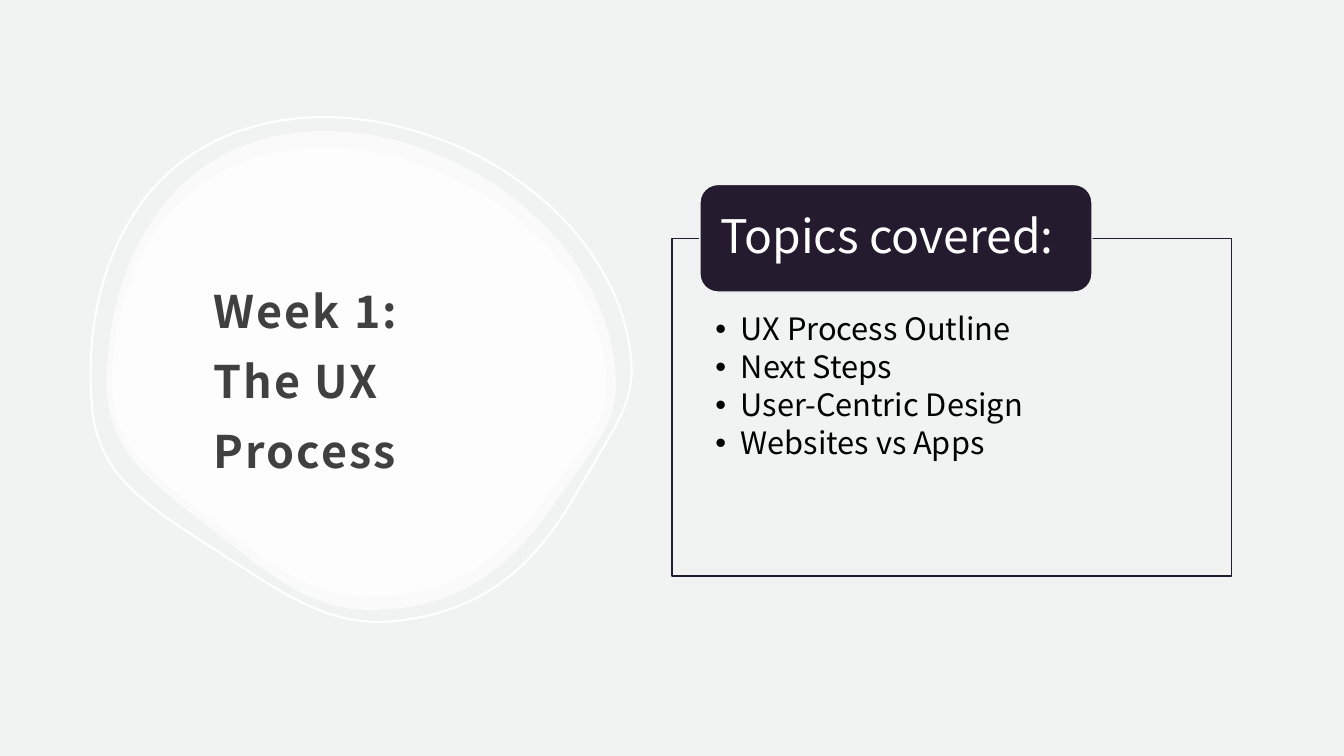
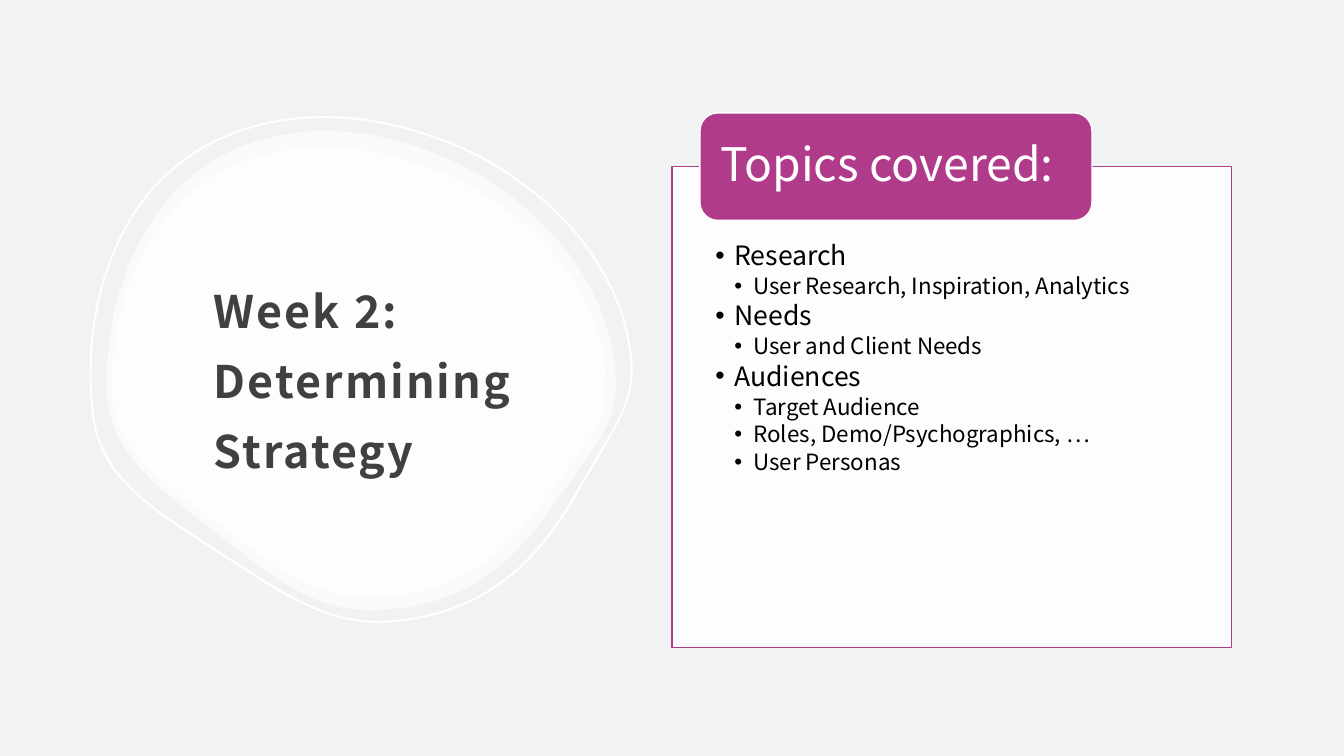
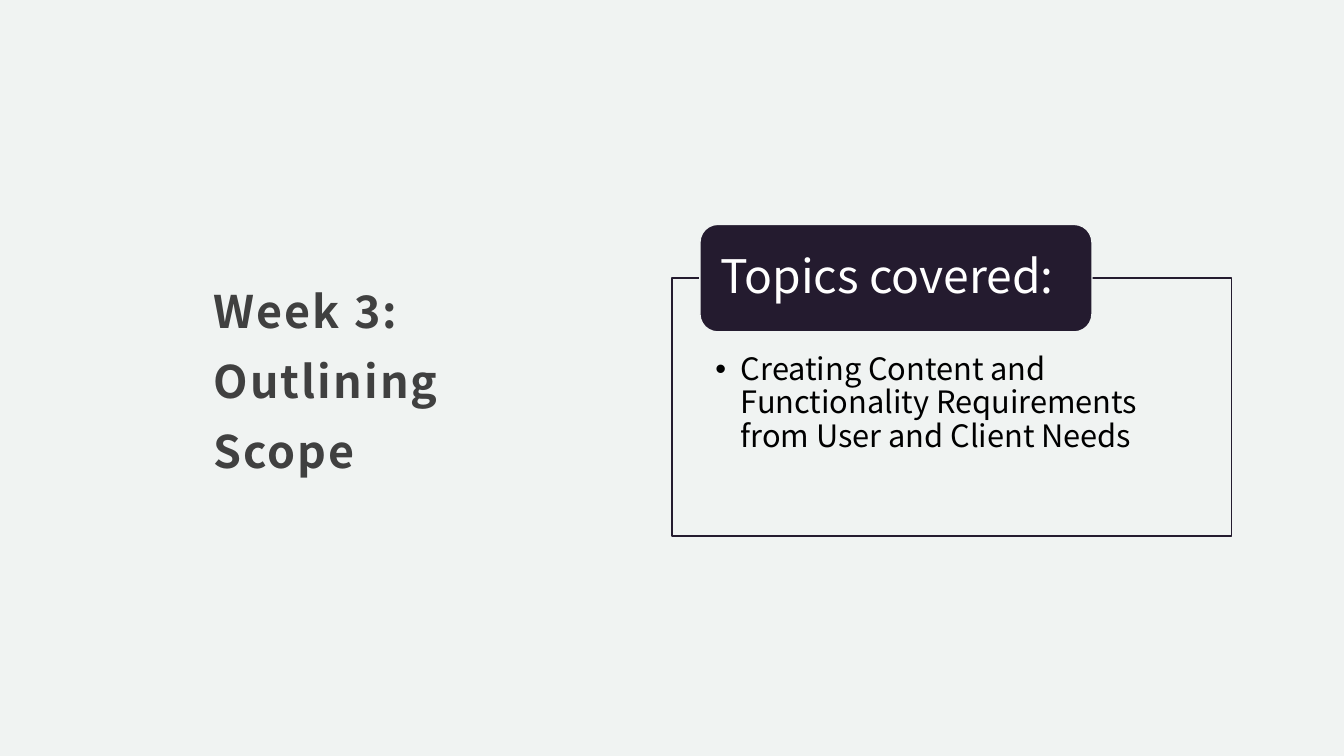
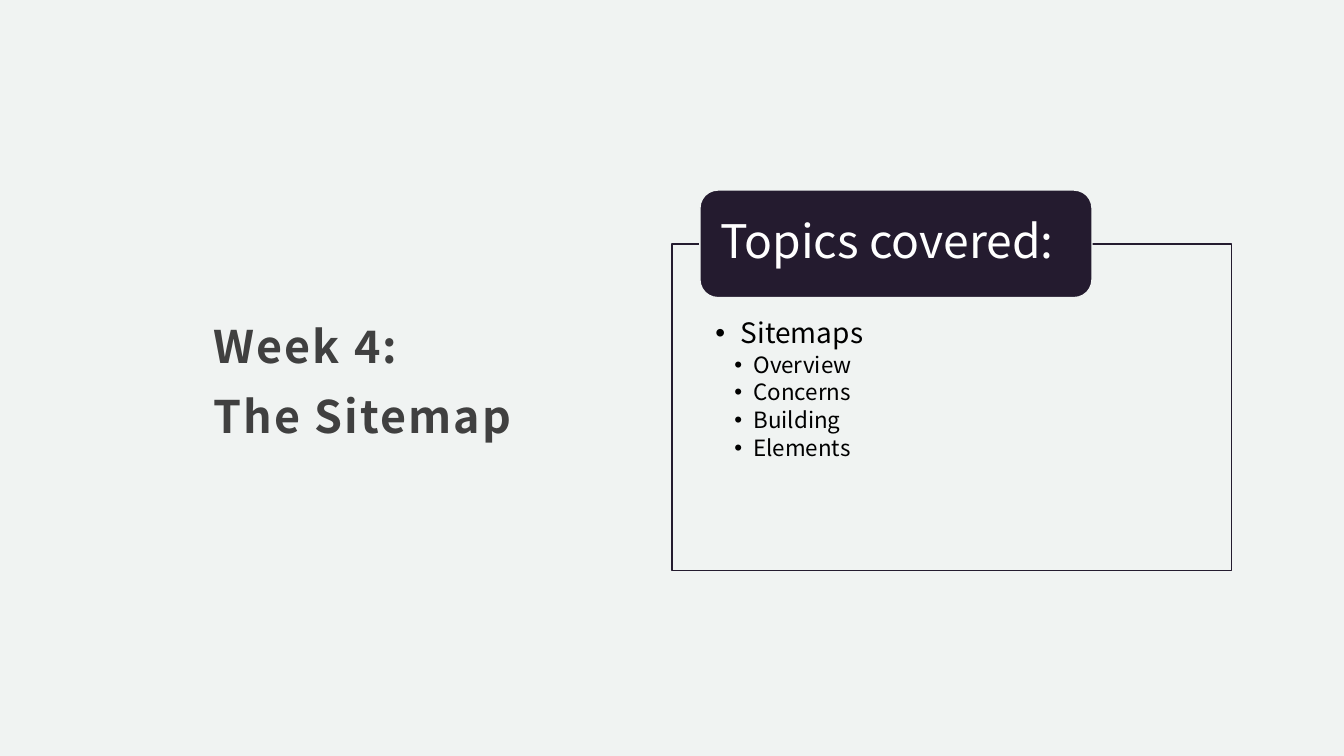
from lxml.etree import SubElement
from pptx import Presentation
from pptx.dml.color import RGBColor
from pptx.enum.shapes import MSO_SHAPE
from pptx.enum.text import MSO_ANCHOR, MSO_AUTO_SIZE, PP_ALIGN
from pptx.oxml.ns import qn
from pptx.util import Cm, Pt

FONT, BULLET_FONT = "Noto Sans CJK JP", "Arial"
PAPER, WHITE, BLACK, GREY = "F0F3F2", "FFFFFF", "000000", "404040"
PLUM, MAGENTA = "241B2F", "B13B8B"


def paint(color_format, hex_color, opacity=100):
    color_format.rgb = RGBColor.from_string(hex_color)
    if opacity < 100:
        color = color_format._xFill.find(qn("a:srgbClr"))
        SubElement(color, qn("a:alpha"), val=str(opacity * 1000))


def style_text(paragraph, size, hex_color, line_spacing, bold=False):
    paragraph.alignment = PP_ALIGN.LEFT
    paragraph.line_spacing = line_spacing
    for run in paragraph.runs:
        run.font.name, run.font.size, run.font.bold = FONT, Pt(size), bold
        paint(run.font.color, hex_color)


# Weeks: title, accent, panel fill, panel height (cm), has blob,
# size and indent (cm) of main topics, topics as (level, text)
weeks = [
    ("Week 1: \vThe UX Process", PLUM, PAPER, 8.51, True, 22, 0.64, [
        (1, "UX Process Outline"),
        (1, "Next Steps"),
        (1, "User-Centric Design"),
        (1, "Websites vs Apps")]),
    ("Week 2: Determining Strategy", MAGENTA, WHITE, 12.12, True, 19, 0.48, [
        (1, "Research"),
        (2, "User Research, Inspiration, Analytics"),
        (1, "Needs"),
        (2, "User and Client Needs"),
        (1, "Audiences"),
        (2, "Target Audience"),
        (2, "Roles, Demo/Psychographics, …"),
        (2, "User Personas")]),
    ("Week 3: Outlining Scope", PLUM, PAPER, 6.5, False, 22, 0.64, [
        (1, "Creating Content and Functionality Requirements "
            "from User and Client Needs")]),
    ("Week 4: \vThe Sitemap", PLUM, PAPER, 8.23, False, 20, 0.64, [
        (1, "Sitemaps"),
        (2, "Overview"),
        (2, "Concerns"),
        (2, "Building"),
        (2, "Elements")]),
]
SUBTOPIC_SIZE, SUBTOPIC_INDENT = 16, 0.48
PANEL_LEFT, PANEL_WIDTH, PANEL_MIDDLE = 16.94, 14.1, 10.26
LABEL_HEIGHT = 2.71

# Blob outline: Bézier segments, each two controls and an end
blob_start = (216, 0)
blob_curves = [
    ((183, 0), (152, 7), (125, 19)), ((100, 31), (77, 48), (59, 70)),
    ((21, 116), (0, 180), (0, 252)), ((0, 280), (8, 303), (26, 326)),
    ((45, 350), (74, 372), (104, 395)), ((109, 399), (115, 404), (121, 408)),
    ((172, 449), (210, 475), (261, 475)), ((339, 475), (395, 443), (446, 367)),
    ((453, 357), (460, 348), (466, 339)), ((492, 303), (505, 284), (505, 252)),
    ((505, 220), (497, 188), (481, 158)), ((466, 128), (444, 101), (416, 77)),
    ((389, 53), (356, 34), (322, 21)), ((287, 7), (251, 0), (216, 0)),
]

# Blob layers: left, top, width, height (cm), rotation, filled or outlined
blob_layers = [
    (2.69, 3.3, 12.83, 12.07, 0, True),
    (2.82, 3.71, 12.47, 11.33, 0, True),
    (2.26, 2.87, 13.64, 12.83, 355, False),
]

prs = Presentation()
prs.slide_width, prs.slide_height = Cm(33.87), Cm(19.05)
backdrop = prs.slide_master.background.fill
backdrop.solid()
paint(backdrop.fore_color, PAPER)

for (heading, accent, panel_color, panel_height, has_blob,
     topic_size, topic_indent, topics) in weeks:
    slide = prs.slides.add_slide(prs.slide_layouts[5])
    shapes = slide.shapes

    # Blob behind the title
    for left, top, width, height, rotation, filled in blob_layers if has_blob else []:
        builder = shapes.build_freeform(*blob_start, scale=Cm(0.03))
        builder.add_line_segments([curve[-1] for curve in blob_curves], close=True)
        blob = builder.convert_to_shape()
        # Turn the straight segments into curves
        segments = list(blob._element.iter(qn("a:lnTo")))
        for segment, curve in zip(segments, blob_curves):
            segment.tag = qn("a:cubicBezTo")
            segment.remove(segment[0])
            for x, y in curve:
                SubElement(segment, qn("a:pt"), x=str(x), y=str(y))
        blob.left, blob.top = Cm(left), Cm(top)
        blob.width, blob.height = Cm(width), Cm(height)
        blob.rotation = rotation
        blob.shadow.inherit = False
        if filled:
            blob.fill.solid()
            paint(blob.fill.fore_color, WHITE, 60)
            blob.line.fill.background()
        else:
            blob.fill.background()
            paint(blob.line.color, WHITE)
            blob.line.width = Pt(1.5)

    # Title, brought in front of the blob
    title = shapes.title
    shapes._spTree.append(title._element)
    title.left, title.top = Cm(5.08), Cm(5.28)
    title.width, title.height = Cm(9.2), Cm(8.15)
    frame = title.text_frame
    frame.text = heading
    frame.word_wrap, frame.auto_size = True, MSO_AUTO_SIZE.NONE
    frame.vertical_anchor = MSO_ANCHOR.MIDDLE
    frame.margin_left = frame.margin_right = frame.margin_top = Cm(0.3)
    frame.margin_bottom = Cm(0.25)
    style_text(frame.paragraphs[0], 32, GREY, 1.3, bold=True)
    for run in frame.paragraphs[0].runs:
        run._r.get_or_add_rPr().set("spc", "150")

    # Panel and the label on its top edge
    panel_top = PANEL_MIDDLE - panel_height / 2
    panel = shapes.add_shape(MSO_SHAPE.RECTANGLE, Cm(PANEL_LEFT), Cm(panel_top),
                             Cm(PANEL_WIDTH), Cm(panel_height))
    label = shapes.add_shape(MSO_SHAPE.ROUNDED_RECTANGLE, Cm(PANEL_LEFT + 0.7),
                             Cm(panel_top - LABEL_HEIGHT / 2),
                             Cm(9.88), Cm(LABEL_HEIGHT))
    for box, fill_color, opacity, line_color in (
            (panel, panel_color, 90, accent), (label, accent, 100, panel_color)):
        box.shadow.inherit = False
        box.fill.solid()
        paint(box.fill.fore_color, fill_color, opacity)
        paint(box.line.color, line_color)
        box.line.width = Pt(1)
        box.text_frame.word_wrap = True

    frame = label.text_frame
    frame.text = "Topics covered:"
    frame.vertical_anchor = MSO_ANCHOR.MIDDLE
    frame.margin_left = frame.margin_right = Cm(0.38)
    frame.margin_top = frame.margin_bottom = 0
    style_text(frame.paragraphs[0], 33, WHITE, 0.9)

    # Topics
    frame = panel.text_frame
    frame.text = "\n".join(text for level, text in topics)
    frame.vertical_anchor = MSO_ANCHOR.TOP
    frame.margin_left = frame.margin_right = Cm(1.09)
    frame.margin_top, frame.margin_bottom = Cm(1.91), Cm(0.3)
    for paragraph, (level, text) in zip(frame.paragraphs, topics):
        size, indent = ((topic_size, topic_indent) if level == 1
                        else (SUBTOPIC_SIZE, SUBTOPIC_INDENT))
        paragraph.level = level
        properties = paragraph._p.get_or_add_pPr()
        properties.set("marL", str(Cm(indent * level)))
        properties.set("indent", str(-Cm(indent)))
        SubElement(properties, qn("a:buFont"), typeface=BULLET_FONT)
        SubElement(properties, qn("a:buChar"), char="•")
        style_text(paragraph, size, BLACK, 0.9)
        paragraph.space_after = Pt(round(size * 0.15, 1))

prs.save("out.pptx")
